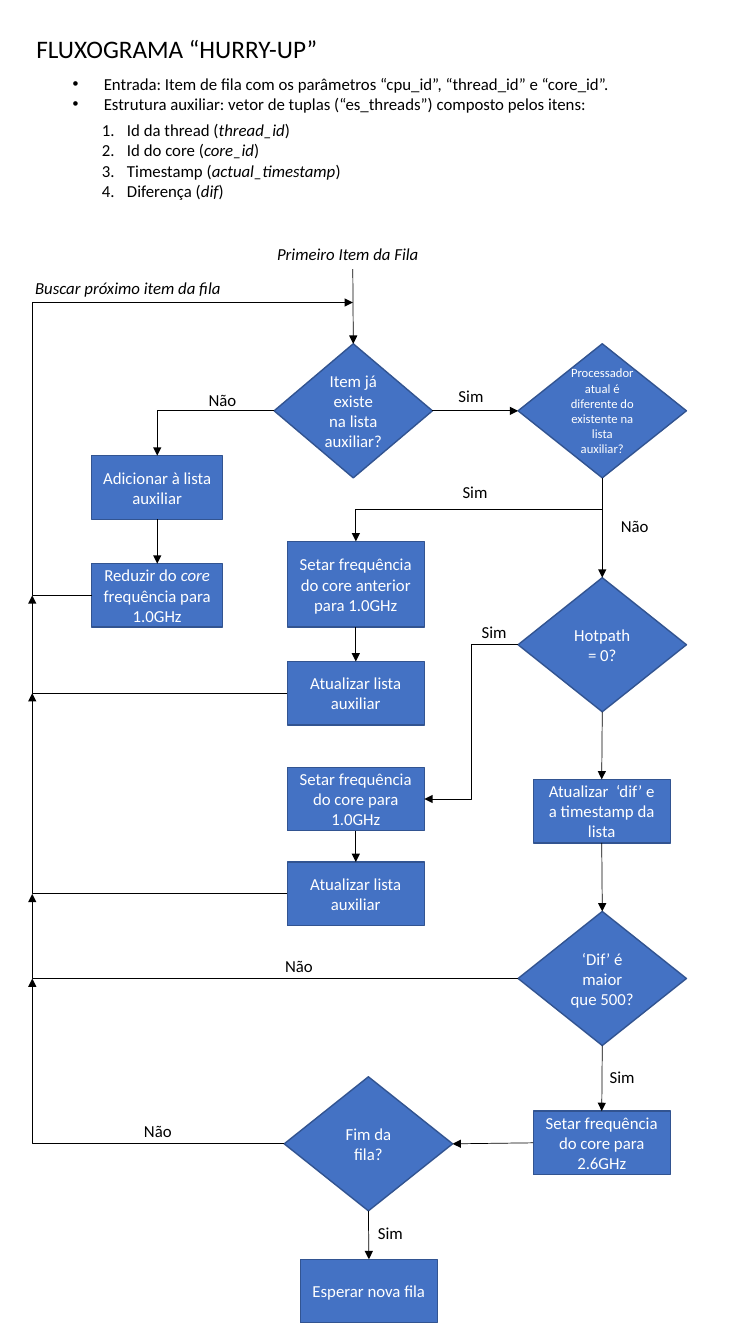
"""Build the "Hurry-up" flowchart slide."""
from dataclasses import dataclass
from typing import NamedTuple

import pptx
import pptx.dml.color
import pptx.enum.shapes
import pptx.enum.text
import pptx.oxml
import pptx.oxml.ns
import pptx.util

Inches, Pt = pptx.util.Inches, pptx.util.Pt
SHAPE = pptx.enum.shapes.MSO_SHAPE
CONNECTOR = pptx.enum.shapes.MSO_CONNECTOR
ALIGN = pptx.enum.text.PP_ALIGN
COLORS = {"fill": "4472C4", "outline": "325491", "ink": "000000", "paper": "FFFFFF"}
LABEL_FRAME = {
    "word_wrap": False,
    "auto_size": pptx.enum.text.MSO_AUTO_SIZE.SHAPE_TO_FIT_TEXT,
    "vertical_anchor": pptx.enum.text.MSO_ANCHOR.TOP,
}
NODE_FRAME = {"word_wrap": True, "vertical_anchor": pptx.enum.text.MSO_ANCHOR.MIDDLE}
PLAIN = {"space_before": Pt(0), "alignment": ALIGN.LEFT}
CENTERED = {"space_before": Pt(0), "alignment": ALIGN.CENTER}
TOP, LEFT, BOTTOM, RIGHT = range(4)
TRUNK = 0.32


class Port(NamedTuple):
    """A connection site on a node."""
    node: str
    site: int


class Point(NamedTuple):
    """A free position in inches."""
    x: float
    y: float


@dataclass
class Node:
    """A process box or a decision diamond."""
    name: str
    text: str
    x: float
    y: float
    w: float = 1.36
    h: float = 0.63
    shape: int = SHAPE.FLOWCHART_PROCESS
    size: int = 12

    def site(self, number: int) -> Point:
        """Return the middle of one side."""
        dx, dy = ((0.5, 0), (0, 0.5), (0.5, 1), (1, 0.5))[number]
        return Point(self.x + dx * self.w, self.y + dy * self.h)


@dataclass
class Arrow:
    """A straight arrow, or a bent one when a geometry is given."""
    start: Port | Point
    end: Port | Point
    bend: str = ""
    guides: tuple[int, ...] = ()
    rotation: int = 180


@dataclass
class Label:
    """Loose text, with italics between asterisks."""
    text: str
    x: float
    y: float
    w: float = 0.48


def decision(name: str, text: str, x: float, y: float, w: float = 1.67, size: int = 12) -> Node:
    """Return a decision diamond."""
    return Node(name, text, x, y, w, 1.33, SHAPE.FLOWCHART_DECISION, size)


NODES = [
    decision("exists", "Item já existe na lista auxiliar?", 2.72, 3.41, 1.57),
    decision("processor", "Processador atual é diferente do existente na lista auxiliar?", 5.14, 3.41, size=9),
    decision("hotpath", "Hotpath = 0?", 5.14, 5.73),
    decision("dif", "‘Dif’ é maior que 500?", 5.14, 9.04),
    decision("queue end", "Fim da fila?", 2.82, 10.68),
    Node("add", "Adicionar à lista auxiliar", 0.91, 4.52, 1.3),
    Node("reduce", "Reduzir do *core* frequência para 1.0GHz", 0.91, 5.59, 1.3),
    Node("set previous", "Setar frequência do core anterior para 1.0GHz", 2.85, 5.37, h=0.85),
    Node("update previous", "Atualizar lista auxiliar", 2.85, 6.56),
    Node("set low", "Setar frequência do core para 1.0GHz", 2.85, 7.61),
    Node("update low", "Atualizar lista auxiliar", 2.85, 8.55),
    Node("update dif", "Atualizar  ‘dif’ e a timestamp da lista", 5.29, 7.73),
    Node("set high", "Setar frequência do core para 2.6GHz", 5.29, 11.02),
    Node("wait", "Esperar nova fila", 2.98, 12.49),
]
BY_NAME = {node.name: node for node in NODES}
DOWNWARD = [("add", "reduce"), ("set previous", "update previous"), ("set low", "update low"),
            ("processor", "hotpath"), ("hotpath", "update dif"), ("update dif", "dif"),
            ("dif", "set high"), ("queue end", "wait")]
RETURNS = ["reduce", "update previous", "update low", "dif", "queue end"]
ARROWS = [
    Arrow(Point(3.5, 2.67), Port("exists", TOP)),
    Arrow(Port("exists", RIGHT), Port("processor", LEFT)),
    Arrow(Port("set high", LEFT), Port("queue end", RIGHT)),
    *(Arrow(Port(a, BOTTOM), Port(b, TOP)) for a, b in DOWNWARD),
    Arrow(Port("exists", LEFT), Port("add", TOP), "bentConnector2"),
    Arrow(Port("processor", BOTTOM), Port("set previous", TOP), "bentConnector3", (50000,), 90),
    Arrow(Port("hotpath", LEFT), Port("set low", RIGHT), "bentConnector3", (50000,)),
    Arrow(Port("reduce", LEFT), Point(3.5, 3), "bentConnector4", (-22800, 100000)),
    *(Arrow(Port(a, LEFT), Point(TRUNK, BY_NAME[b].site(LEFT).y), "bentConnector3", (100000,))
      for a, b in zip(RETURNS[1:], RETURNS)),
]
LABELS = [
    Label("*Primeiro Item da Fila*", 2.65, 2.37, 1.62),
    Label("*Buscar próximo item da fila*", 0.25, 2.71, 2.06),
    *(Label("Não", x, y) for x, y in ((1.97, 3.82), (6.06, 5.07), (2.73, 9.43), (1.33, 11.07))),
    *(Label("Sim", x, y, 0.45) for x, y in
      ((4.45, 3.78), (4.49, 4.73), (4.68, 6.12), (5.95, 10.53), (3.65, 12.08))),
]
INPUTS = ["Entrada: Item de fila com os parâmetros “cpu_id”, “thread_id” e “core_id”.",
          "Estrutura auxiliar: vetor de tuplas (“es_threads”) composto pelos itens:"]
FIELDS = ["Id da thread (*thread_id*)", "Id do core (*core_id*)",
          "Timestamp (*actual_timestamp*)", "Diferença (*dif*)"]


def rgb(name: str) -> pptx.dml.color.RGBColor:
    """Return a named colour."""
    return pptx.dml.color.RGBColor.from_string(COLORS[name])


def element(tag: str, **attributes: str):
    """Return a new drawing element."""
    el = pptx.oxml.parse_xml(f"<a:{tag} {pptx.oxml.ns.nsdecls('a')}/>")
    for key, value in attributes.items():
        el.set(key, value)
    return el


def apply(target: object, values: dict[str, object]) -> None:
    """Set every attribute in a dict of format values."""
    for key, value in values.items():
        setattr(target, key, value)


def write(tf, lines: list[str], size: int = 12, color: str = "ink", frame: dict = LABEL_FRAME,
          paragraph: dict = PLAIN) -> None:
    """Fill a text frame, one paragraph a line."""
    apply(tf, frame)
    for i, line in enumerate(lines):
        p = tf.add_paragraph() if i else tf.paragraphs[0]
        apply(p, paragraph)
        for j, part in enumerate(line.split("*")):
            if part:
                r = p.add_run()
                r.text = part
                apply(r.font, {"name": "Calibri", "size": Pt(size), "italic": j % 2 == 1})
                r.font.color.rgb = rgb(color)


def place(sp, x: float, y: float, w: float, h: float) -> None:
    """Move and size a shape."""
    apply(sp, dict(zip(("left", "top", "width", "height"), map(Inches, (x, y, w, h)))))


def mark(tf, indent: float, tag: str, **attributes: str) -> None:
    """Give each paragraph a hanging bullet or number."""
    for p in tf.paragraphs:
        ppr = p._p.get_or_add_pPr()
        ppr.set("marL", str(Inches(indent)))
        ppr.set("indent", str(-Inches(indent)))
        ppr.append(element("buFont", typeface="Arial" if tag == "buChar" else "+mj-lt"))
        ppr.append(element(tag, **attributes))


def draw_node(s, node: Node):
    """Draw a node and return its shape."""
    sp = s.shapes.add_shape(node.shape, *map(Inches, (node.x, node.y, node.w, node.h)))
    sp.shadow.inherit = False
    sp.fill.solid()
    sp.fill.fore_color.rgb = rgb("fill")
    sp.line.color.rgb = rgb("outline")
    sp.line.width = Pt(1)
    write(sp.text_frame, [node.text], node.size, "paper", NODE_FRAME, CENTERED)
    return sp


def draw_arrow(s, arrow: Arrow, shapes: dict) -> None:
    """Draw an arrow and join it to its nodes."""
    ends = [BY_NAME[e.node].site(e.site) if isinstance(e, Port) else e for e in (arrow.start, arrow.end)]
    kind = CONNECTOR.ELBOW if arrow.bend else CONNECTOR.STRAIGHT
    c = s.shapes.add_connector(kind, *(Inches(v) for end in ends for v in end))
    for end, join in ((arrow.start, c.begin_connect), (arrow.end, c.end_connect)):
        if isinstance(end, Port):
            join(shapes[end.node], end.site)
    c.line.color.rgb = rgb("ink")
    c.line.width = Pt(0.5)
    c.line._get_or_add_ln().append(element("tailEnd", type="triangle"))
    spPr = c._element.spPr
    spPr.append(element("effectLst"))
    if arrow.bend:
        spPr.prstGeom.set("prst", arrow.bend)
        names = ["adj1", "adj2"]
        spPr.prstGeom.rewrite_guides(list(zip(names, arrow.guides)))
        xfrm = spPr.xfrm
        flips = {"flipH": not xfrm.flipH, "flipV": not xfrm.flipV}
        if arrow.rotation == 90:
            flips = {"flipH": False, "flipV": False}
            shift = (c.width - c.height) // 2
            apply(c, {"left": c.left + shift, "top": c.top - shift, "width": c.height, "height": c.width})
        apply(xfrm, {"rot": float(arrow.rotation), **flips})


def main() -> None:
    """Build and save the slide."""
    prs = pptx.Presentation()
    apply(prs, {"slide_width": Inches(7.5), "slide_height": Inches(13.33)})
    s = prs.slides.add_slide(prs.slide_layouts[3])
    title, inputs, fields = s.placeholders
    place(title, 0.26, 0.28, 3.02, 0.4)
    write(title.text_frame, ["FLUXOGRAMA “HURRY-UP”"], 18)
    place(inputs, 0.62, 0.68, 5.58, 0.5)
    write(inputs.text_frame, INPUTS)
    mark(inputs.text_frame, 0.31, "buChar", char="•")
    place(fields, 0.91, 1.14, 2.59, 0.91)
    write(fields.text_frame, FIELDS)
    mark(fields.text_frame, 0.25, "buAutoNum", type="arabicPeriod")
    shapes = {node.name: draw_node(s, node) for node in NODES}
    for arrow in ARROWS:
        draw_arrow(s, arrow, shapes)
    for label in LABELS:
        tb = s.shapes.add_textbox(*map(Inches, (label.x, label.y, label.w, 0.3)))
        write(tb.text_frame, [label.text])
    prs.save("out.pptx")


if __name__ == "__main__":
    main()
